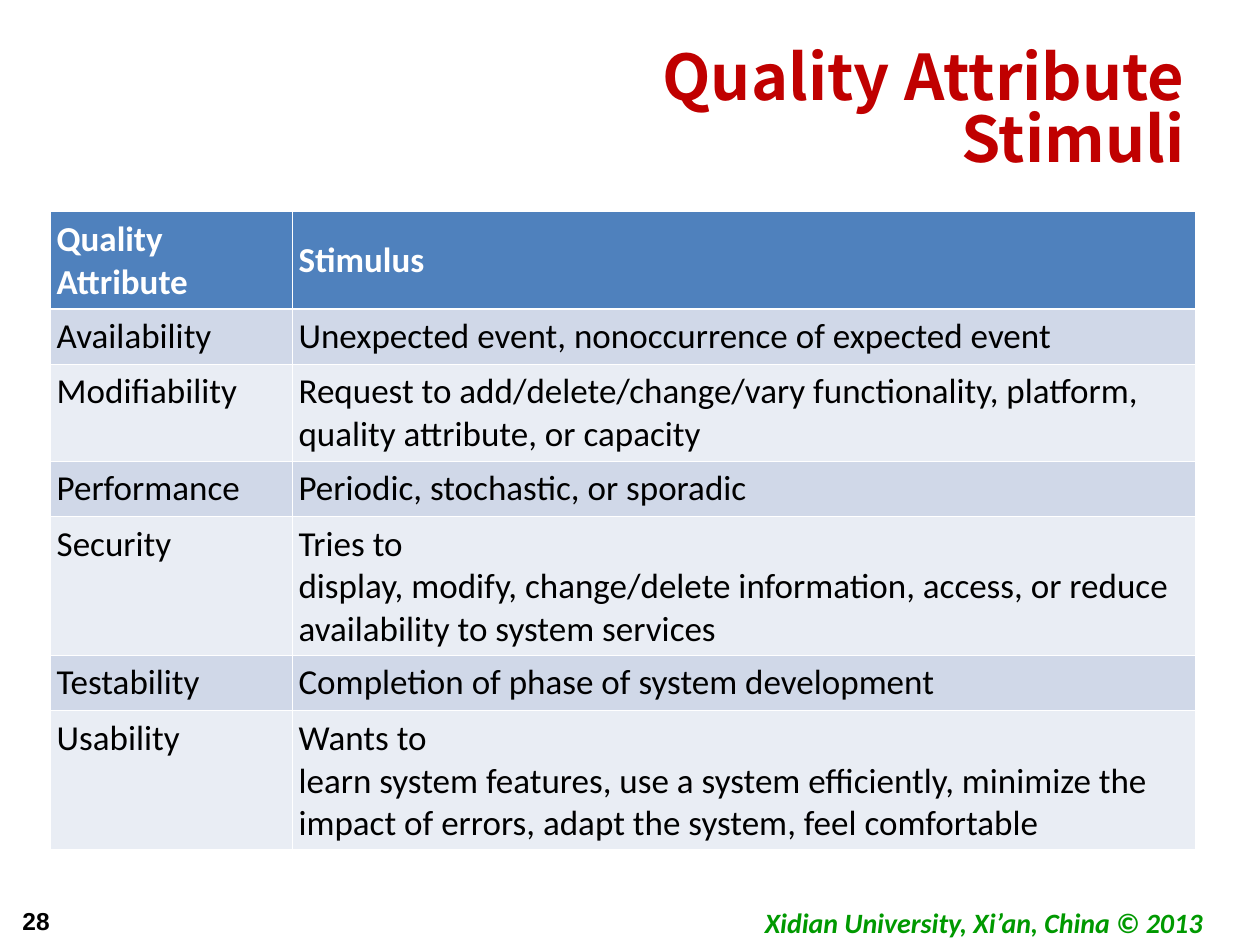
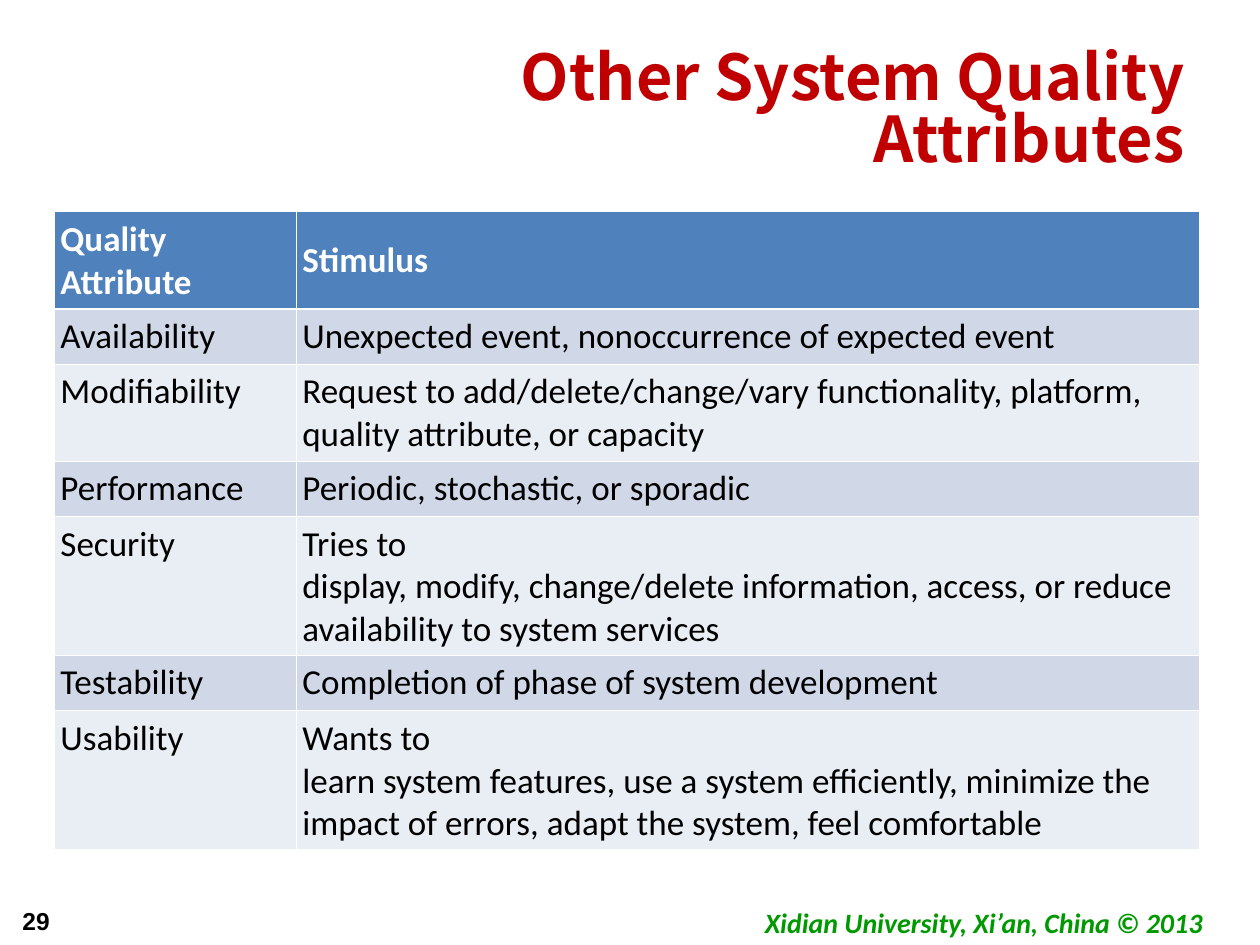
from lxml.etree import SubElement
from pptx import Presentation
from pptx.dml.color import RGBColor
from pptx.enum.text import MSO_ANCHOR, MSO_AUTO_SIZE, PP_ALIGN
from pptx.oxml.ns import qn
from pptx.util import Inches, Pt

COLORS = {
    "title": "C00000",
    "footer": "009900",
    "text": "000000",
    "header": "4F81BD",
    "odd_row": "D0D8E8",
    "even_row": "E9EDF4",
    "white": "FFFFFF",
}
TITLE_FONT, BODY_FONT, NUMBER_FONT = "Noto Sans CJK SC", "Calibri", "Arial"
TITLE_ONLY = 5
FIRST_PAGE = 28
FOOTER = "Xidian University, Xi’an, China © 2013"

COLUMN_WIDTHS = [1.92, 7.17]
ROW_HEIGHTS = {1: 0.44, 2: 0.77, 3: 1.1}
STIMULI = [
    (2, "Quality Attribute", "Stimulus"),
    (1, "Availability", "Unexpected event, nonoccurrence of expected event"),
    (2, "Modifiability",
     "Request to add/delete/change/vary functionality, platform, "
     "quality attribute, or capacity"),
    (1, "Performance", "Periodic, stochastic, or sporadic"),
    (3, "Security",
     "Tries to\ndisplay, modify, change/delete information, access, or reduce "
     "availability to system services"),
    (1, "Testability", "Completion of phase of system development"),
    (3, "Usability",
     "Wants to\nlearn system features, use a system efficiently, minimize the "
     "impact of errors, adapt the system, feel comfortable"),
]
PAGES = [
    ("Quality Attribute Stimuli", 0.4),
    ("Other System Quality Attributes", 0.43),
]


class Deck:
    def __init__(self):
        self.presentation = Presentation()
        self.presentation.slide_width = Inches(10)
        self.presentation.slide_height = Inches(7.5)
        self.slide = None

    def start_slide(self, heading, page):
        layout = self.presentation.slide_layouts[TITLE_ONLY]
        self.slide = self.presentation.slides.add_slide(layout)
        self.title(heading)
        self.label(FOOTER, (5.78, 7.11, 4.06, 0.39), BODY_FONT, 16, "footer",
                   italic=True, align=PP_ALIGN.CENTER, anchor=MSO_ANCHOR.MIDDLE,
                   spacing=1.1, wrap=False)
        self.label(str(page), (0.08, 7.14, 0.59, 0.34), NUMBER_FONT, 14, "text")

    def format(self, frame, font, size, color, bold=True, italic=False,
               align=PP_ALIGN.LEFT, spacing=None):
        for paragraph in frame.paragraphs:
            paragraph.alignment = align
            if spacing:
                paragraph.line_spacing = spacing
            for run in paragraph.runs:
                run.font.name = font
                run.font.size = Pt(size)
                run.font.bold = bold
                run.font.italic = italic
                run.font.color.rgb = RGBColor.from_string(COLORS[color])

    def title(self, heading):
        title = self.slide.shapes.title
        title.left, title.top = Inches(3.82), Inches(0.3)
        title.width, title.height = Inches(5.68), Inches(1.25)
        frame = title.text_frame
        frame.text = heading
        frame.word_wrap = True
        frame.auto_size = MSO_AUTO_SIZE.NONE
        frame.vertical_anchor = MSO_ANCHOR.TOP
        frame.margin_top = Inches(0.1)
        self.format(frame, TITLE_FONT, 36, "title", align=PP_ALIGN.RIGHT,
                    spacing=0.82)

    def label(self, text, box, font, size, color, italic=False,
              align=PP_ALIGN.LEFT, anchor=MSO_ANCHOR.TOP, spacing=None, wrap=True):
        frame = self.slide.shapes.add_textbox(*map(Inches, box)).text_frame
        frame.text = text
        frame.word_wrap = wrap
        frame.vertical_anchor = anchor
        self.format(frame, font, size, color, italic=italic, align=align,
                    spacing=spacing)

    def table(self, rows, left, top):
        heights = [ROW_HEIGHTS[lines] for lines, *_ in rows]
        table = self.slide.shapes.add_table(
            len(rows), len(COLUMN_WIDTHS), Inches(left), Inches(top),
            Inches(sum(COLUMN_WIDTHS)), Inches(sum(heights))).table
        for column, width in zip(table.columns, COLUMN_WIDTHS):
            column.width = Inches(width)
        for index, (_, *texts) in enumerate(rows):
            table.rows[index].height = Inches(heights[index])
            for column, text in enumerate(texts):
                self.cell(table.cell(index, column), text, index)

    def cell(self, cell, text, row):
        is_header = row == 0
        cell.text_frame.text = text
        cell.margin_left = cell.margin_right = Inches(0.05)
        cell.margin_top = cell.margin_bottom = Inches(0.05)
        cell.vertical_anchor = MSO_ANCHOR.MIDDLE if is_header else MSO_ANCHOR.TOP
        self.format(cell.text_frame, BODY_FONT, 20,
                    "white" if is_header else "text", bold=is_header)
        self.borders(cell, top=1.47 if row == 1 else 0.45,
                     bottom=1.47 if is_header else 0.45)
        fill = "header" if is_header else "odd_row" if row % 2 else "even_row"
        cell.fill.solid()
        cell.fill.fore_color.rgb = RGBColor.from_string(COLORS[fill])

    def borders(self, cell, top, bottom):
        properties = cell._tc.get_or_add_tcPr()
        widths = {"a:lnL": 0.45, "a:lnR": 0.45, "a:lnT": top, "a:lnB": bottom}
        for edge, width in widths.items():
            line = SubElement(properties, qn(edge), w=str(Pt(width)))
            fill = SubElement(line, qn("a:solidFill"))
            SubElement(fill, qn("a:srgbClr"), val=COLORS["white"])


def main():
    deck = Deck()
    for page, (heading, table_left) in enumerate(PAGES, FIRST_PAGE):
        deck.start_slide(heading, page)
        deck.table(STIMULI, table_left, 1.68)
    deck.presentation.save("out.pptx")


if __name__ == "__main__":
    main()
